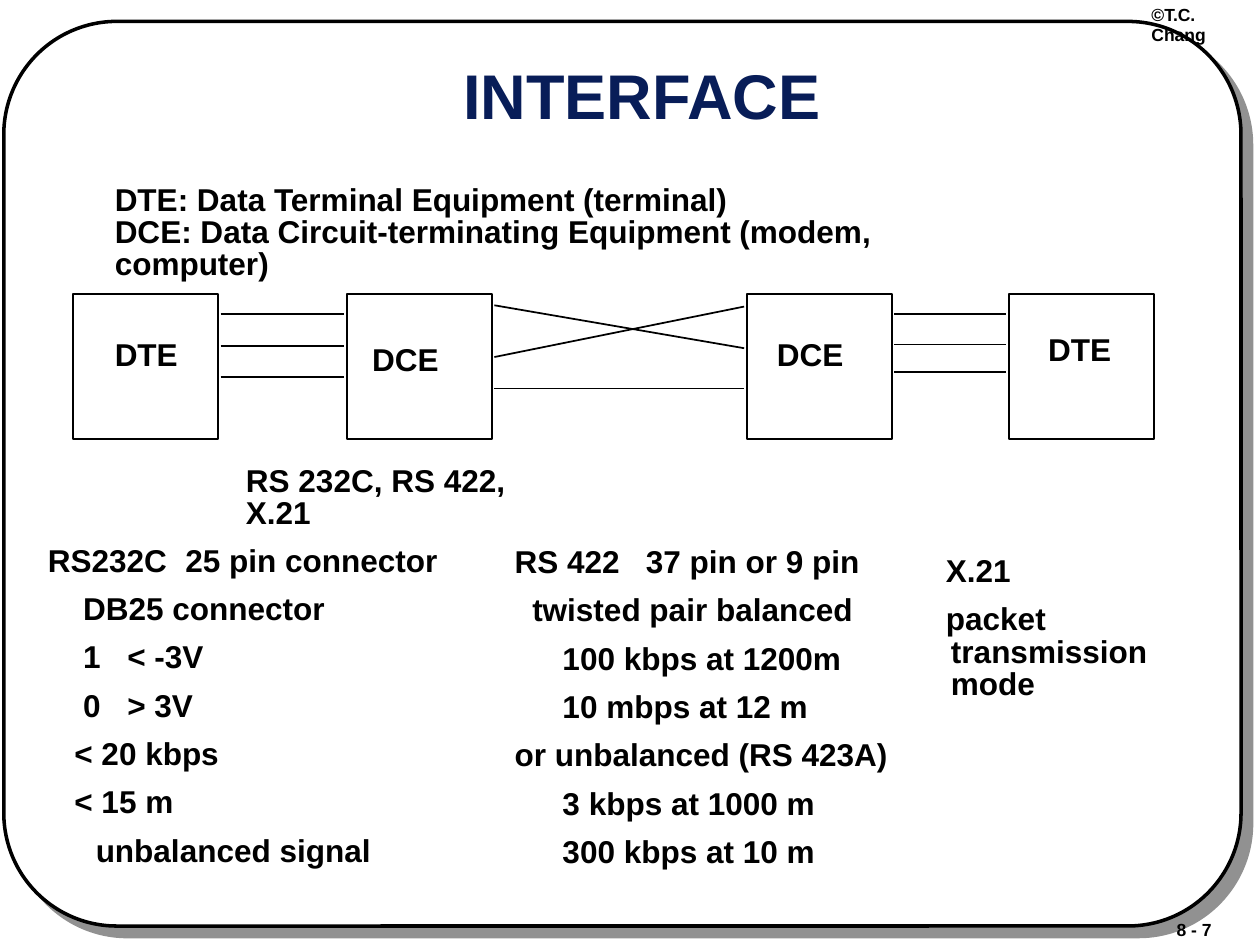
from dataclasses import dataclass

from lxml import etree
from pptx import Presentation
from pptx.dml.color import RGBColor
from pptx.enum.shapes import MSO_CONNECTOR, MSO_SHAPE
from pptx.enum.text import MSO_ANCHOR, MSO_AUTO_SIZE, PP_ALIGN
from pptx.oxml import parse_xml
from pptx.oxml.ns import qn
from pptx.util import Inches, Pt

ROUND, RECT = MSO_SHAPE.ROUNDED_RECTANGLE, MSO_SHAPE.RECTANGLE
STRAIGHT = MSO_CONNECTOR.STRAIGHT
TOP, GROW = MSO_ANCHOR.TOP, MSO_AUTO_SIZE.SHAPE_TO_FIT_TEXT
LEFT, CENTER = PP_ALIGN.LEFT, PP_ALIGN.CENTER


@dataclass(frozen=True)
class Theme:
    font: str = "Arial"
    ink: str = "000000"
    title: str = "081D58"
    paper: str = "FFFFFF"
    shade: str = "919191"
    small: int = 10
    body: int = 18
    head: int = 36


THEME = Theme()
SIZE = (9.99, 7.49)
FRAME = (0.03, 0.17, 9.81, 7.17)
TITLE = ("INTERFACE", (3.59, 0.51, 3, 0.57))
CORNERS = [
    ("8 - 7", (9.26, 7.27, 0.7, 0.21)),
    ("©T.C. Chang", (9.06, 0.02, 0.93, 0.21)),
]
NOTES = [
    (["DTE: Data Terminal Equipment (terminal)",
      "DCE: Data Circuit-terminating Equipment (modem, computer)"],
     (0.84, 1.44, 7.43, 0.57)),
    (["RS 232C, RS 422, X.21"], (1.88, 3.67, 2.78, 0.31)),
]
BOX_TOP, BOX_SIDE = 2.33, 1.15
UNITS = [
    ("DTE", 0.58, (0.84, 2.67)),
    ("DCE", 2.75, (2.88, 2.71)),
    ("DCE", 5.92, (6.09, 2.67)),
    ("DTE", 8, (8.24, 2.63)),
]
LABEL = (0.67, 0.31)
GAP = 0.02
WIRES = [
    [(2.49, 2.49), (2.74, 2.74), (2.99, 2.99)],
    [(2.42, 2.76), (2.83, 2.43), (3.08, 3.08)],
    [(2.49, 2.49), (2.73, 2.73), (2.95, 2.95)],
]
COLUMNS = [
    ((0.31, 4.3, 3.43, 3), [
        ("RS232C\t25 pin connector", 0, 1.09),
        ("DB25 connector", 0.28, 0),
        ("1\t< -3V", 0.28, 0.35),
        ("0\t> 3V", 0.28, 0.35),
        ("< 20 kbps", 0.21, 0),
        ("< 15 m", 0.21, 0),
        ("unbalanced signal", 0.38, 0),
    ]),
    ((4.01, 4.31, 3.32, 2.61), [
        ("RS 422\t37 pin or 9 pin", 0, 1.04),
        ("twisted pair balanced", 0.14, 0),
        ("100 kbps at 1200m", 0.38, 0),
        ("10 mbps at 12 m", 0.38, 0),
        ("or unbalanced (RS 423A)", 0, 0),
        ("3 kbps at 1000 m", 0.38, 0),
        ("300 kbps at 10 m", 0.38, 0),
    ]),
    ((7.43, 4.38, 2.19, 1.23), [
        ("X.21", 0, 0.04),
        ("packet transmission mode", 0, 0.04),
    ]),
]
SHADOW = (
    '<a:effectLst xmlns:a="http://schemas.openxmlformats.org/drawingml/2006/main">'
    '<a:outerShdw dist="107950" dir="2700000" algn="ctr" rotWithShape="0">'
    f'<a:srgbClr val="{THEME.shade}"/></a:outerShdw></a:effectLst>'
)


def color(code):
    return RGBColor.from_string(code)


def place(shape, box):
    shape.left, shape.top, shape.width, shape.height = map(Inches, box)


def write(shape, lines, size, space=0.85, ink=THEME.ink, align=LEFT, before=0, wrap=False):
    frame = shape.text_frame
    frame.word_wrap, frame.auto_size = wrap, GROW
    frame.vertical_anchor = TOP
    frame.margin_left = frame.margin_right = Inches(0.07)
    frame.margin_top = frame.margin_bottom = Inches(0.03)
    for index, (text, start, hang) in enumerate(lines):
        para = frame.add_paragraph() if index else frame.paragraphs[0]
        para.text = text
        para.alignment, para.line_spacing = align, space
        para.space_before = Pt(before)
        props = para._p.get_or_add_pPr()
        props.set("marL", str(Inches(start + hang)))
        props.set("indent", str(-Inches(hang)))
        font = para.font
        font.name, font.size, font.bold = THEME.font, Pt(size), True
        font.color.rgb = color(ink)


def add_text(slide, box, lines, size, **style):
    write(slide.shapes.add_textbox(*map(Inches, box)), lines, size, **style)


def add_box(slide, kind, box, width):
    shape = slide.shapes.add_shape(kind, *map(Inches, box))
    shape.shadow.inherit = False
    shape.fill.background()
    shape.line.color.rgb = color(THEME.ink)
    shape.line.width = Pt(width)
    return shape


def add_frame(slide):
    frame = add_box(slide, ROUND, FRAME, 2)
    frame.adjustments[0] = 0.125
    frame.fill.solid()
    frame.fill.fore_color.rgb = color(THEME.paper)
    props = frame._element.spPr
    props.replace(props.find(qn("a:effectLst")), parse_xml(SHADOW))
    slide.shapes._spTree.insert(2, frame._element)


def add_wire(slide, x1, y1, x2, y2):
    wire = slide.shapes.add_connector(STRAIGHT, *map(Inches, (x1, y1, x2, y2)))
    wire.line.color.rgb = color(THEME.ink)
    wire.line.width = Pt(1)
    etree.SubElement(wire._element.spPr, qn("a:effectLst"))


def main():
    """Build the slide on the DTE and DCE interface."""
    deck = Presentation()
    deck.slide_width, deck.slide_height = map(Inches, SIZE)
    slide = deck.slides.add_slide(deck.slide_layouts[5])
    add_frame(slide)

    text, box = TITLE
    title = slide.shapes.title
    place(title, box)
    write(title, [(text, 0, 0)], THEME.head, ink=THEME.title, align=CENTER, wrap=True)

    for text, box in CORNERS:
        add_text(slide, box, [(text, 0, 0)], THEME.small, space=0.92)
    for lines, box in NOTES:
        add_text(slide, box, [(line, 0, 0) for line in lines], THEME.body)

    for name, left, spot in UNITS:
        add_box(slide, RECT, (left, BOX_TOP, BOX_SIDE, BOX_SIDE), 1)
        add_text(slide, spot + LABEL, [(name, 0, 0)], THEME.body)
    for near, far, wires in zip(UNITS, UNITS[1:], WIRES):
        for start, end in wires:
            add_wire(slide, near[1] + BOX_SIDE + GAP, start, far[1] - GAP, end)

    for box, lines in COLUMNS:
        add_text(slide, box, lines, THEME.body, space=0.86, before=9, wrap=True)
    deck.save("out.pptx")


if __name__ == "__main__":
    main()
